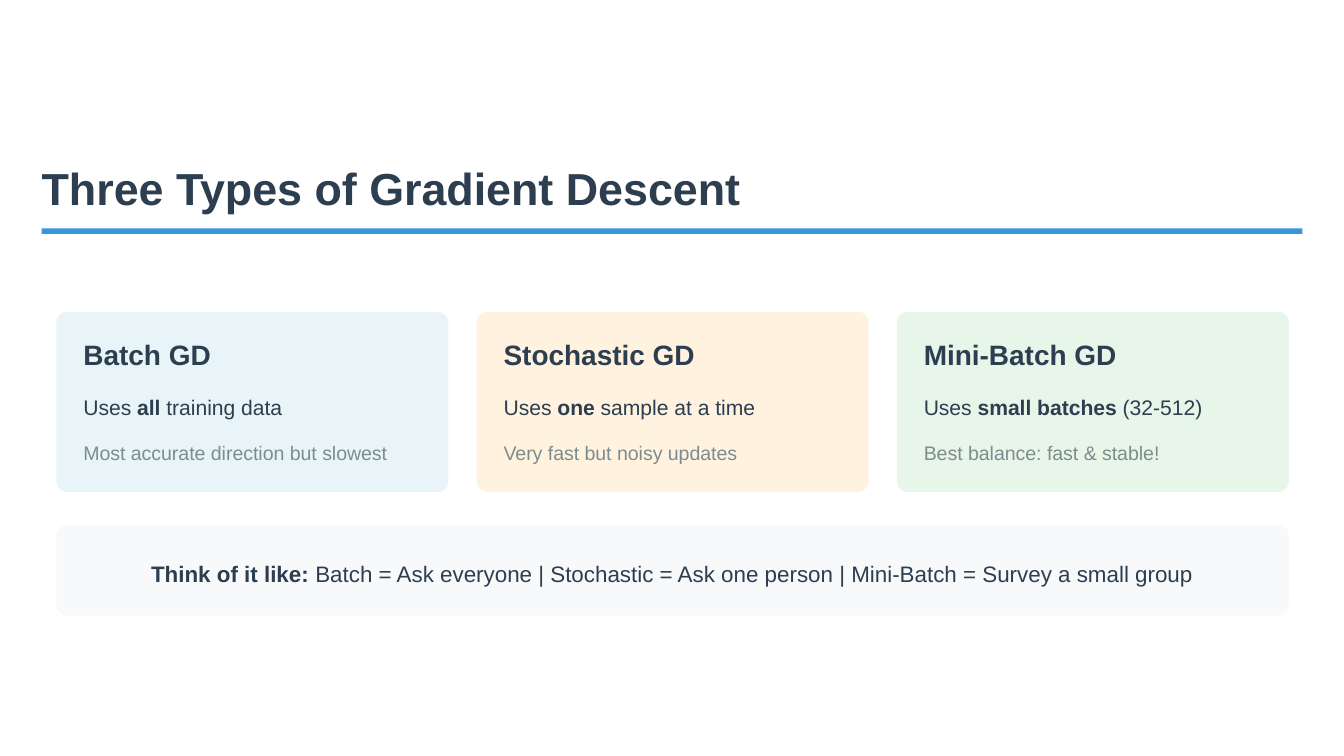
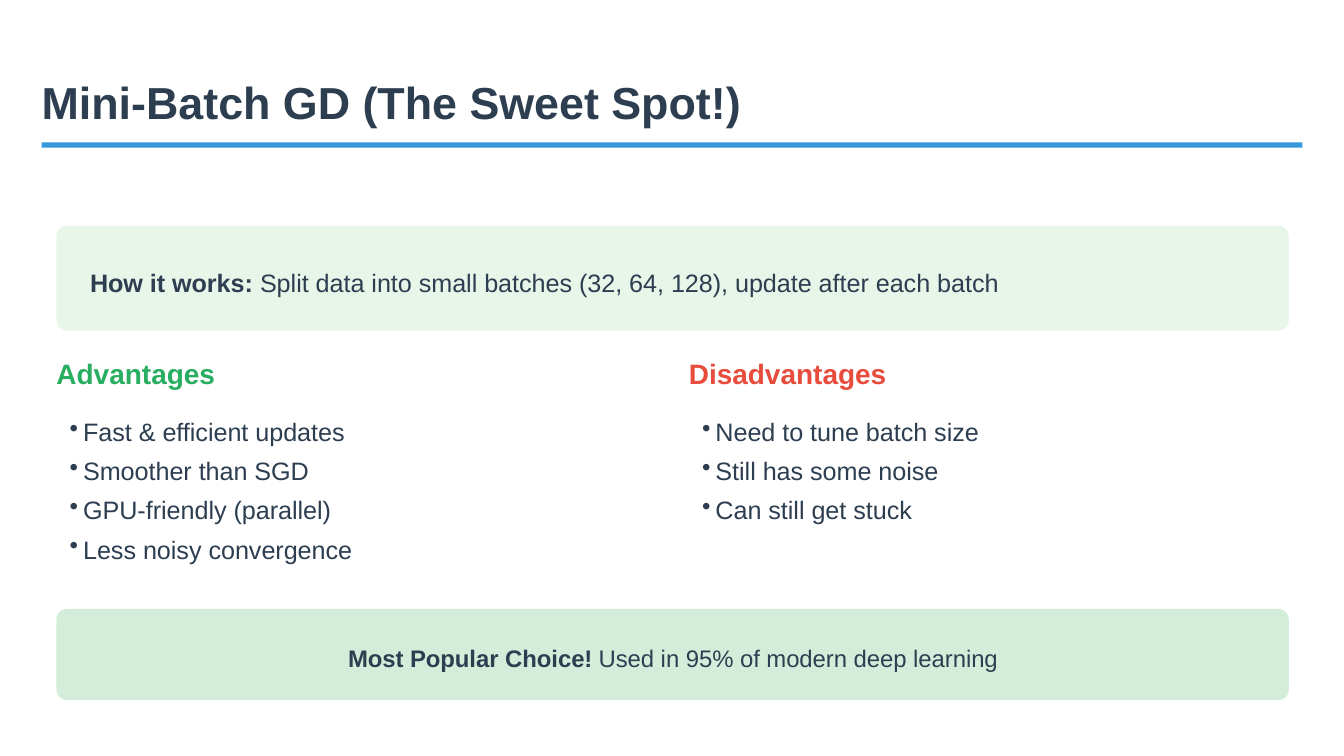
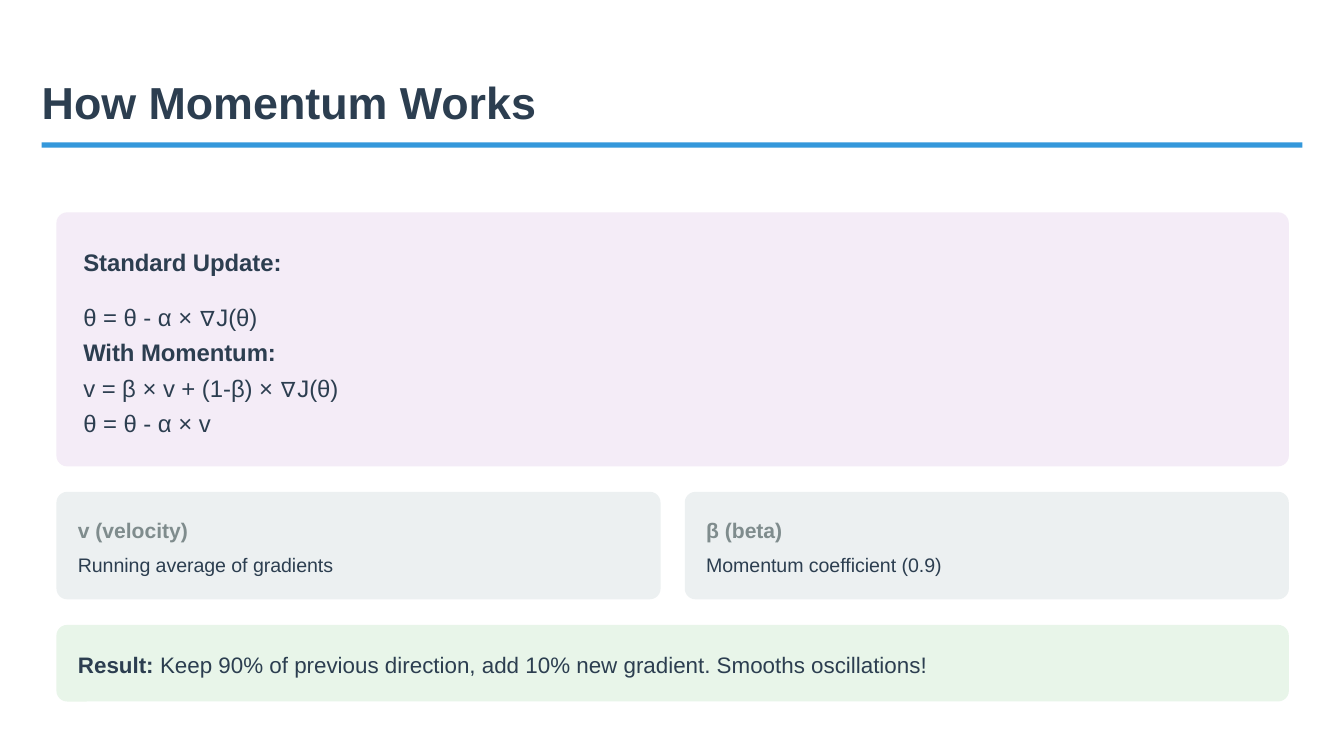
from dataclasses import dataclass
from typing import Optional

from lxml import etree
from pptx import Presentation
from pptx.dml.color import RGBColor
from pptx.enum.shapes import MSO_SHAPE
from pptx.enum.text import PP_ALIGN
from pptx.oxml.ns import qn
from pptx.util import Inches, Pt

RECTANGLE = MSO_SHAPE.RECTANGLE
ROUNDED = MSO_SHAPE.ROUNDED_RECTANGLE
LEFT, CENTER = PP_ALIGN.LEFT, PP_ALIGN.CENTER

FONT = "Arial"
COLORS = {
    "ink": "2C3E50",
    "muted": "7F8C8D",
    "accent": "3498DB",
    "good": "27AE60",
    "bad": "E74C3C",
    "blue": "E8F4F8",
    "orange": "FFF3E0",
    "green": "E8F5E9",
    "deep_green": "D4EDDA",
    "pale": "F8F9FA",
    "purple": "F4ECF7",
    "gray": "ECF0F1",
}

# Shared layout, in inches; the page is 16:9
PAGE_WIDTH = 10
PAGE_HEIGHT = PAGE_WIDTH * 9 / 16
MARGIN = 0.42
CONTENT_WIDTH = 9.17
CORNER_RADIUS = 0.08
BULLET_INDENT = 0.1


@dataclass(frozen=True)
class Style:
    size: float
    line: float
    color: str = "ink"
    bold: bool = False
    before: float = 0
    after: float = 0
    align: PP_ALIGN = LEFT
    bullet: bool = False


@dataclass(frozen=True)
class Card:
    heading: str
    text: str
    note: str = ""
    fill: str = "gray"


@dataclass(frozen=True)
class BulletList:
    heading: str
    color: str
    items: tuple[str, ...]


TITLE = Style(24, 24, bold=True, before=15, after=7.5)
CARD_TEXT = Style(11.25, 16.9, after=9)
CARD_NOTE = Style(10.5, 14.7, "muted")
ANALOGY = Style(12, 18, align=CENTER)
LEAD = Style(13.5, 20.25)
BULLET = Style(13.5, 21, bullet=True)
POPULAR = Style(12.75, 19.13, align=CENTER)
FORMULA = Style(12.75, 19.13)
SPACED_FORMULA = Style(12.75, 19.13, after=10.5)
TERM = Style(11.25, 15.75, "muted", bold=True, after=4.5)
MEANING = Style(10.5, 13.7)
RESULT = Style(12, 16.8)

GRADIENT_TYPES = (
    Card("Batch GD", "Uses **all** training data",
         "Most accurate direction but slowest", "blue"),
    Card("Stochastic GD", "Uses **one** sample at a time",
         "Very fast but noisy updates", "orange"),
    Card("Mini-Batch GD", "Uses **small batches** (32-512)",
         "Best balance: fast & stable!", "green"),
)
TRADE_OFFS = (
    BulletList("Advantages", "good", (
        "Fast & efficient updates", "Smoother than SGD",
        "GPU-friendly (parallel)", "Less noisy convergence")),
    BulletList("Disadvantages", "bad", (
        "Need to tune batch size", "Still has some noise",
        "Can still get stuck")),
)
MOMENTUM_TERMS = (
    Card("v (velocity)", "Running average of gradients"),
    Card("β (beta)", "Momentum coefficient (0.9)"),
)


def set_values(target, values: dict) -> None:
    for name, value in values.items():
        setattr(target, name, value)


def columns(count: int, gap: float) -> tuple[list[float], float]:
    """Left edges and shared width of equal columns across the content."""
    width = (CONTENT_WIDTH - (count - 1) * gap) / count
    return [MARGIN + i * (width + gap) for i in range(count)], width


def heading_style(color: str = "ink") -> Style:
    return Style(15, 16.7, color, bold=True, after=9)


def add_bullet(para) -> None:
    properties = para._p.get_or_add_pPr()
    properties.set("marL", str(Inches(BULLET_INDENT)))
    properties.set("indent", str(-Inches(BULLET_INDENT)))
    etree.SubElement(properties, qn("a:buSzPct")).set("val", "100000")
    etree.SubElement(properties, qn("a:buChar")).set("char", "•")


def add_text(page, left: float, top: float, width: float, height: float,
             style: Style, *lines: str) -> None:
    """Write one paragraph per line; ** switches bold on and off."""
    box = page.shapes.add_textbox(
        Inches(left), Inches(top), Inches(width), Inches(height))
    frame = box.text_frame
    set_values(frame, {
        "word_wrap": True,
        "margin_left": Inches(BULLET_INDENT if style.bullet else 0),
        "margin_top": 0,
        "margin_right": 0,
        "margin_bottom": 0,
    })
    for index, line in enumerate(lines):
        para = frame.add_paragraph() if index else frame.paragraphs[0]
        set_values(para, {
            "alignment": style.align,
            "line_spacing": Pt(style.line),
            "space_before": Pt(style.before),
            "space_after": Pt(style.after),
        })
        if style.bullet:
            add_bullet(para)
        for part, words in enumerate(line.split("**")):
            if not words:
                continue
            span = para.add_run()
            span.text = words
            set_values(span.font, {
                "name": FONT,
                "size": Pt(style.size),
                "bold": style.bold or part % 2 == 1,
            })
            span.font.color.rgb = RGBColor.from_string(COLORS[style.color])


def add_block(page, left: float, top: float, width: float, height: float,
              fill: str, radius: Optional[float] = CORNER_RADIUS) -> None:
    block = page.shapes.add_shape(
        ROUNDED if radius else RECTANGLE,
        Inches(left), Inches(top), Inches(width), Inches(height))
    if radius:
        block.adjustments[0] = radius / min(width, height)
    block.shadow.inherit = False
    block.fill.solid()
    block.fill.fore_color.rgb = RGBColor.from_string(COLORS[fill])
    block.line.fill.background()


def add_page(deck, title: str, top: float = 0.62):
    """Blank page with the shared title and its underline."""
    page = deck.slides.add_slide(deck.slide_layouts[6])
    add_text(page, 0.31, top, 5.31, 0.33, TITLE, title)
    add_block(page, 0.31, top + 0.44, 9.38, 0.04, "accent", radius=None)
    return page


def build_types(deck) -> None:
    page = add_page(deck, "Three Types of Gradient Descent", top=1.26)

    # One card per type
    lefts, width = columns(3, 0.21)
    for left, card in zip(lefts, GRADIENT_TYPES):
        add_block(page, left, 2.32, width, 1.34, card.fill)
        text_left = left + 0.2
        add_text(page, text_left, 2.53, 2.55, 0.23, heading_style(), card.heading)
        add_text(page, text_left, 2.89, 2.55, 0.23, CARD_TEXT, card.text)
        add_text(page, text_left, 3.25, 2.55, 0.2, CARD_NOTE, card.note)

    # Analogy band
    add_block(page, MARGIN, 3.91, CONTENT_WIDTH, 0.67, "pale")
    add_text(page, 0.54, 4.12, 8.93, 0.25, ANALOGY,
             "**Think of it like:** Batch = Ask everyone | "
             "Stochastic = Ask one person | Mini-Batch = Survey a small group")


def build_mini_batch(deck) -> None:
    page = add_page(deck, "Mini-Batch GD (The Sweet Spot!)")

    # How it works band
    add_block(page, MARGIN, 1.68, CONTENT_WIDTH, 0.78, "green")
    add_text(page, 0.67, 1.93, 8.84, 0.28, LEAD,
             "**How it works:** Split data into small batches (32, 64, 128), "
             "update after each batch")

    # Advantages and disadvantages
    lefts, width = columns(2, 0.24)
    for left, group in zip(lefts, TRADE_OFFS):
        add_text(page, left, 2.67, 2.28, 0.23,
                 heading_style(group.color), group.heading)
        add_text(page, left, 3.03, width, 0.32 * len(group.items),
                 BULLET, *group.items)

    # Popularity band
    add_block(page, MARGIN, 4.53, CONTENT_WIDTH, 0.68, "deep_green")
    add_text(page, 0.54, 4.74, 8.93, 0.27, POPULAR,
             "**Most Popular Choice!** Used in 95% of modern deep learning")


def build_momentum(deck) -> None:
    page = add_page(deck, "How Momentum Works")

    # Update rules
    add_block(page, MARGIN, 1.58, CONTENT_WIDTH, 1.89, "purple")
    add_text(page, 0.62, 1.79, 8.93, 0.53, SPACED_FORMULA,
             "**Standard Update:**", "θ = θ - α × ∇J(θ)")
    add_text(page, 0.62, 2.46, 8.93, 0.8, FORMULA,
             "**With Momentum:**", "v = β × v + (1-β) × ∇J(θ)", "θ = θ - α × v")

    # Terms
    lefts, width = columns(2, 0.18)
    for left, card in zip(lefts, MOMENTUM_TERMS):
        add_block(page, left, 3.66, width, 0.8, card.fill)
        add_text(page, left + 0.16, 3.82, 4.24, 0.22, TERM, card.heading)
        add_text(page, left + 0.16, 4.1, 4.24, 0.19, MEANING, card.text)

    # Result band
    add_block(page, MARGIN, 4.65, CONTENT_WIDTH, 0.57, "green")
    add_text(page, 0.58, 4.81, 9.01, 0.23, RESULT,
             "**Result:** Keep 90% of previous direction, add 10% new gradient. "
             "Smooths oscillations!")


def main() -> None:
    deck = Presentation()
    set_values(deck, {
        "slide_width": Inches(PAGE_WIDTH),
        "slide_height": Inches(PAGE_HEIGHT),
    })
    for build in (build_types, build_mini_batch, build_momentum):
        build(deck)
    deck.save("out.pptx")


if __name__ == "__main__":
    main()
